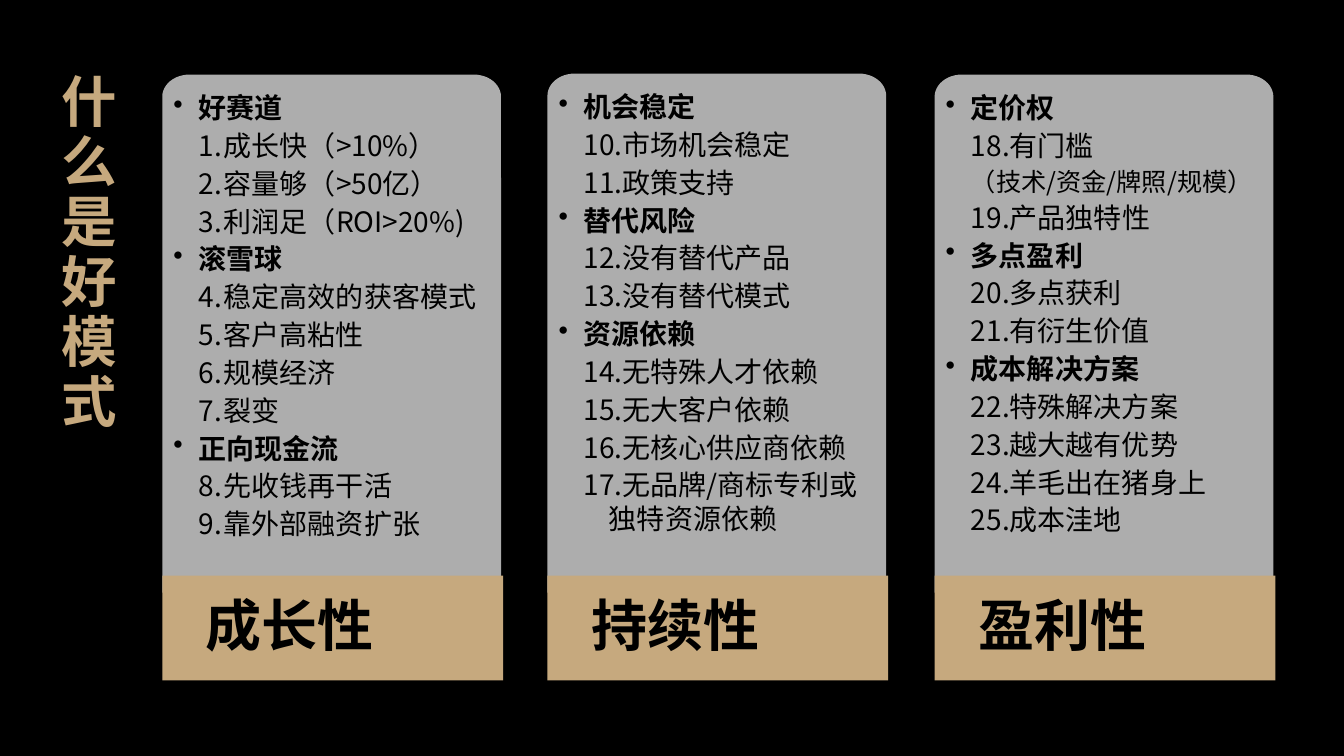
from dataclasses import dataclass
from math import cos, pi, sin

from lxml import etree
from pptx import Presentation
from pptx.dml.color import RGBColor
from pptx.enum.shapes import MSO_SHAPE
from pptx.enum.text import MSO_ANCHOR, MSO_AUTO_SIZE, PP_ALIGN
from pptx.oxml.ns import qn
from pptx.util import Inches, Pt

RECTANGLE = MSO_SHAPE.RECTANGLE
TOP, MIDDLE = MSO_ANCHOR.TOP, MSO_ANCHOR.MIDDLE
LEFT, CENTER = PP_ALIGN.LEFT, PP_ALIGN.CENTER
NO_AUTOFIT = MSO_AUTO_SIZE.NONE


@dataclass(frozen=True)
class Theme:
    font: str = "Noto Sans CJK SC"
    black: RGBColor = RGBColor(0, 0, 0)
    white: RGBColor = RGBColor(255, 255, 255)
    gold: RGBColor = RGBColor(0xC6, 0xA9, 0x7E)
    title_size: float = 39.6
    label_size: float = 40
    body_size: float = 20
    note_size: float = 18
    space_after: float = 0.15  # share of the type size
    panel_opacity: int = 68


@dataclass(frozen=True)
class Group:
    heading: str
    start: int
    items: tuple
    notes: tuple = ()  # unnumbered lines as (text, size)


@dataclass(frozen=True)
class Column:
    left: float
    top: float
    label_left: float
    label_top: float
    label: str
    groups: tuple


THEME = Theme()
TITLE = "什么是好模式"
PANEL_WIDTH, PANEL_BOTTOM = 3.36, 5.88
LABEL_WIDTH, LABEL_HEIGHT = 3.38, 1.04
CORNER_WIDTH, CORNER_HEIGHT, CORNER_STEPS = 0.27, 0.22, 12
INDENT = 0.25

COLUMNS = (
    Column(1.61, 0.74, 1.61, 5.71, "成长性", (
        Group("好赛道", 1, ("成长快（>10%）", "容量够（>50亿）", "利润足（ROI>20%)")),
        Group("滚雪球", 4, ("稳定高效的获客模式", "客户高粘性", "规模经济", "裂变")),
        Group("正向现金流", 8, ("先收钱再干活", "靠外部融资扩张")),
    )),
    Column(5.43, 0.73, 5.43, 5.71, "持续性", (
        Group("机会稳定", 10, ("市场机会稳定", "政策支持")),
        Group("替代风险", 12, ("没有替代产品", "没有替代模式")),
        Group("资源依赖", 14, ("无特殊人才依赖", "无大客户依赖", "无核心供应商依赖",
                            "无品牌/商标专利或独特资源依赖")),
    )),
    Column(9.27, 0.74, 9.27, 5.71, "盈利性", (
        Group("定价权", 18, ("有门槛",), (("（技术/资金/牌照/规模）", THEME.note_size),
                                      ("19.产品独特性", THEME.body_size))),
        Group("多点盈利", 20, ("多点获利", "有衍生价值")),
        Group("成本解决方案", 22, ("特殊解决方案", "越大越有优势", "羊毛出在猪身上", "成本洼地")),
    )),
)


def apply_format(target, values: dict) -> None:
    for name, value in values.items():
        setattr(target, name, value)


def set_frame(frame, anchor, left: float, top: float, right: float, bottom: float) -> None:
    apply_format(frame, {
        "word_wrap": True, "auto_size": NO_AUTOFIT, "vertical_anchor": anchor,
        "margin_left": Inches(left), "margin_top": Inches(top),
        "margin_right": Inches(right), "margin_bottom": Inches(bottom),
    })


def add_span(para, text: str, size: float, color: RGBColor, bold: bool) -> None:
    span = para.add_run()
    span.text = text
    apply_format(span.font, {"name": THEME.font, "size": Pt(size), "bold": bold})
    span.font.color.rgb = color
    east_asian = etree.SubElement(span.font._element, qn("a:ea"))
    east_asian.set("typeface", THEME.font)


def set_plain(shape, color: RGBColor) -> None:
    shape.shadow.inherit = False
    shape.fill.solid()
    shape.fill.fore_color.rgb = color
    shape.line.fill.background()


def add_line(para, text: str, level: int, size: float, bold: bool = False,
             indent: tuple = (INDENT, 0), bullet: tuple = ("a:buNone", {})) -> None:
    apply_format(para, {"level": level, "alignment": LEFT, "line_spacing": 1.0,
                        "space_after": Pt(size * THEME.space_after)})
    properties = para._p.get_or_add_pPr()
    for name, value in zip(("marL", "indent"), indent):
        properties.set(name, str(Inches(value)))
    tag, attributes = bullet
    etree.SubElement(properties, qn(tag), attributes)
    add_span(para, text, size, THEME.black, bold)


def panel_outline(left: float, top: float) -> list:
    """Points of a box whose two upper corners are rounded."""
    right = left + PANEL_WIDTH
    points = [(left, PANEL_BOTTOM)]
    for center, first_angle in ((left + CORNER_WIDTH, pi), (right - CORNER_WIDTH, pi / 2)):
        for step in range(CORNER_STEPS + 1):
            angle = first_angle - step * pi / 2 / CORNER_STEPS
            points.append((center + CORNER_WIDTH * cos(angle),
                           top + CORNER_HEIGHT * (1 - sin(angle))))
    points.append((right, PANEL_BOTTOM))
    return [(Inches(x), Inches(y)) for x, y in points]


# Grey panel with its bulleted and numbered lines
def add_panel(page, column: Column) -> None:
    first, *others = panel_outline(column.left, column.top)
    builder = page.shapes.build_freeform(*first)
    builder.add_line_segments(others, close=True)
    panel = builder.convert_to_shape()
    set_plain(panel, THEME.white)
    color = panel._element.spPr.find(qn("a:solidFill"))[0]
    etree.SubElement(color, qn("a:alpha"), val=str(THEME.panel_opacity * 1000))

    frame = panel.text_frame
    set_frame(frame, TOP, 0.11, 0.16, 0.11, 0.03)
    lines = []
    for group in column.groups:
        lines.append(dict(text=group.heading, level=1, size=THEME.body_size, bold=True,
                          indent=(INDENT, -INDENT), bullet=("a:buChar", {"char": "•"})))
        numbering = {"type": "arabicPeriod", "startAt": str(group.start)}
        lines += [dict(text=item, level=2, size=THEME.body_size,
                       indent=(2 * INDENT, -INDENT), bullet=("a:buAutoNum", numbering))
                  for item in group.items]
        lines += [dict(text=note, level=2, size=size) for note, size in group.notes]
    for index, line in enumerate(lines):
        add_line(frame.add_paragraph() if index else frame.paragraphs[0], **line)


# Gold label at the foot of a column
def add_label(page, column: Column) -> None:
    box = page.shapes.add_shape(RECTANGLE, Inches(column.label_left), Inches(column.label_top),
                                Inches(LABEL_WIDTH), Inches(LABEL_HEIGHT))
    set_plain(box, THEME.gold)
    set_frame(box.text_frame, MIDDLE, 0.21, 0, 1.06, 0)
    para = box.text_frame.paragraphs[0]
    apply_format(para, {"alignment": CENTER, "line_spacing": 0.9})
    add_span(para, column.label, THEME.label_size, THEME.black, True)


# Narrow title that breaks after every character
def add_title(page) -> None:
    title = page.shapes.title
    apply_format(title, {"left": Inches(0.55), "top": Inches(2.19),
                         "width": Inches(0.15), "height": Inches(0.67)})
    set_frame(title.text_frame, MIDDLE, 0.06, 0, 0, 0)
    para = title.text_frame.paragraphs[0]
    apply_format(para, {"alignment": LEFT, "line_spacing": 0.9})
    add_span(para, TITLE, THEME.title_size, THEME.gold, True)


def main() -> None:
    deck = Presentation()
    apply_format(deck, {"slide_width": Inches(13.33), "slide_height": Inches(7.5)})
    page = deck.slides.add_slide(deck.slide_layouts[5])
    page.background.fill.solid()
    page.background.fill.fore_color.rgb = THEME.black
    add_title(page)
    for column in COLUMNS:
        add_panel(page, column)
        add_label(page, column)
    deck.save("out.pptx")


if __name__ == "__main__":
    main()
